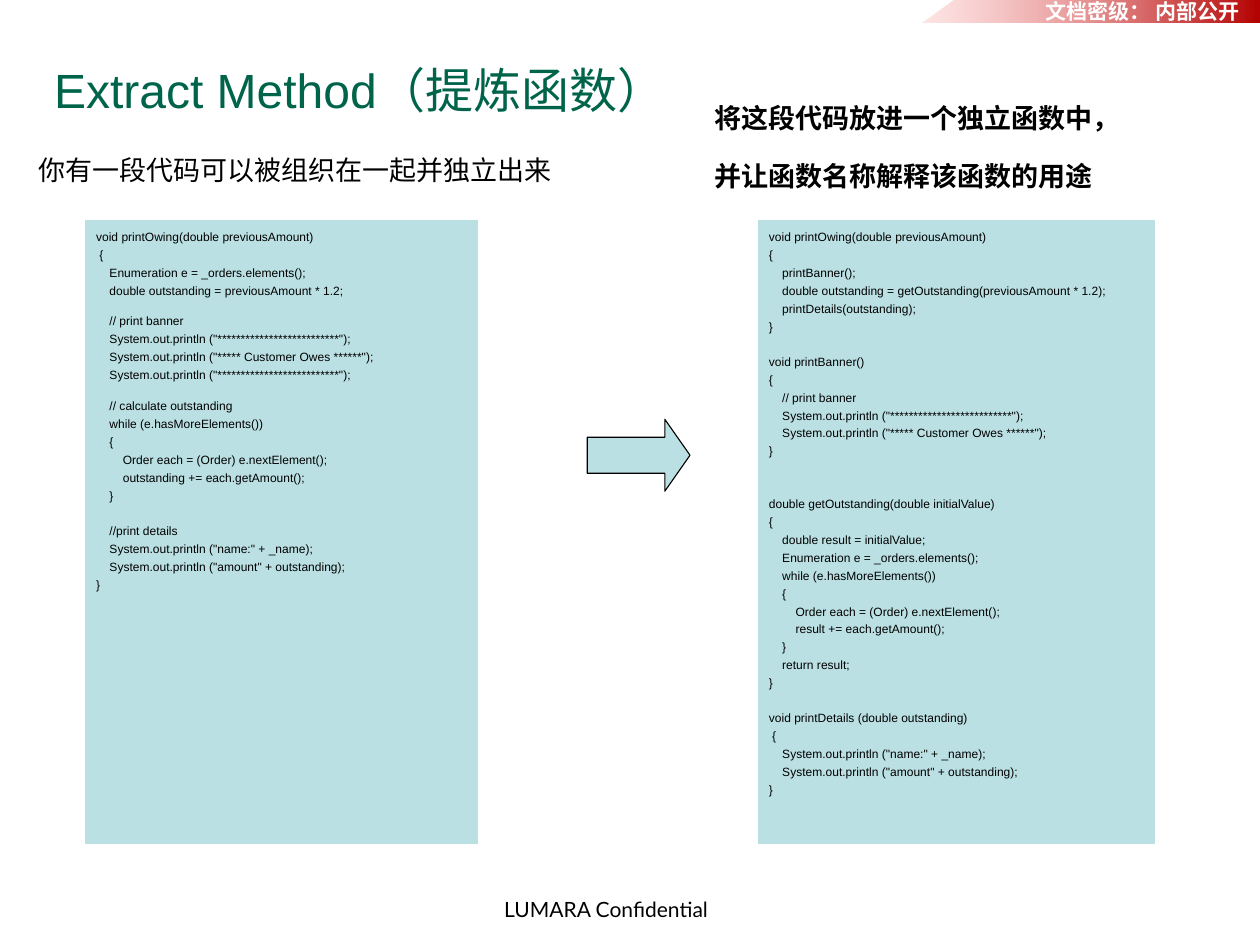
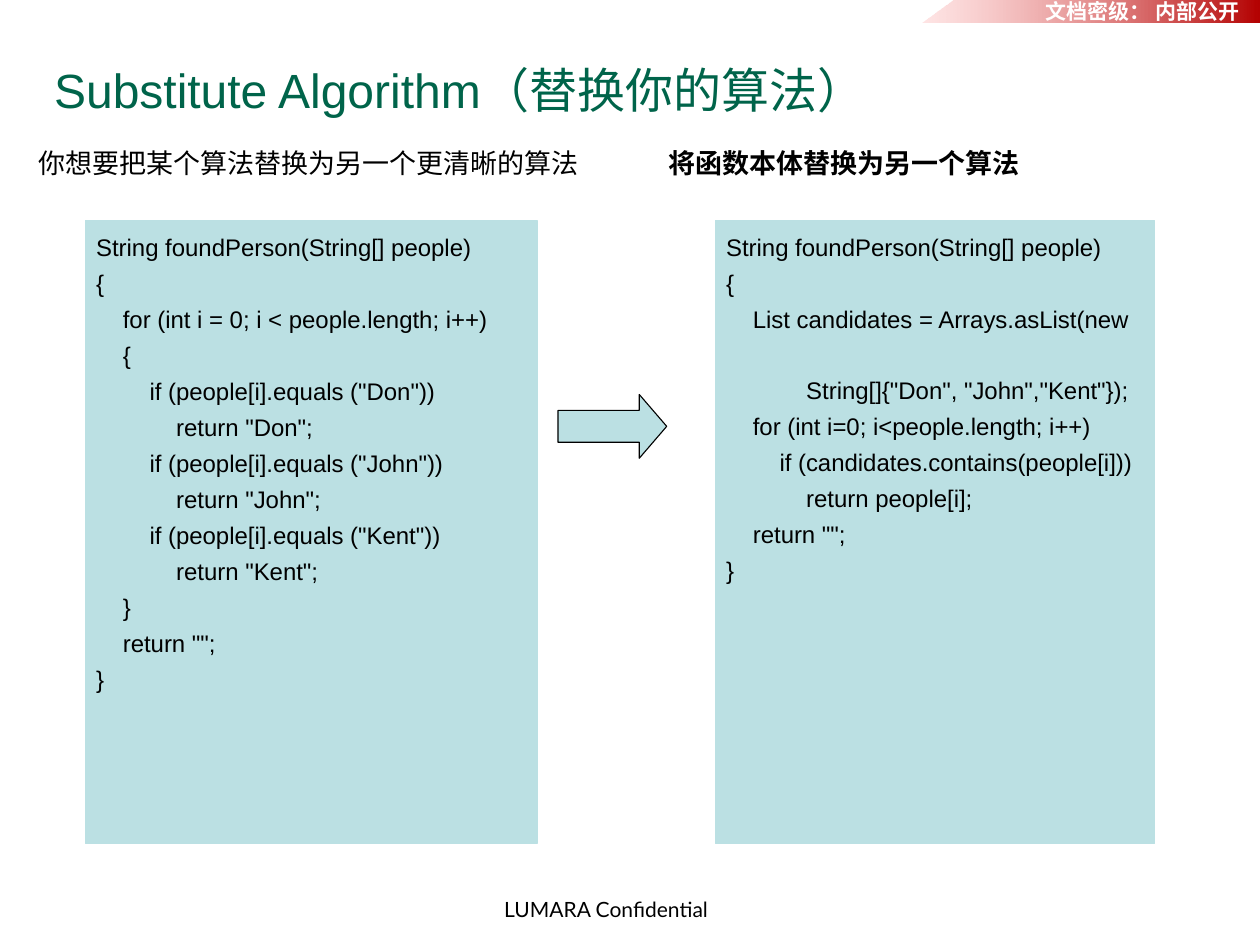
from lxml.etree import SubElement
from pptx import Presentation
from pptx.dml.color import RGBColor
from pptx.enum.shapes import MSO_SHAPE
from pptx.enum.text import MSO_ANCHOR, PP_ALIGN
from pptx.oxml.ns import qn
from pptx.util import Pt

BLACK = RGBColor(0x00, 0x00, 0x00)
WHITE = RGBColor(0xFF, 0xFF, 0xFF)
GREEN = RGBColor(0x00, 0x64, 0x4A)
AQUA = RGBColor(0xBB, 0xE0, 0xE3)
RED = RGBColor(0xB4, 0x00, 0x00)
PINK = RGBColor(0xFF, 0xBF, 0xBF)

SLIDE_WIDTH, SLIDE_HEIGHT = 840, 630
PANEL_TOP, PANEL_HEIGHT = 147, 415.5
PANEL_LEFT, PANEL_RIGHT = 57, 769.5
LINE_SPACING = 1.25
SPACE_EM = 0.278  # width of a space in Arial
LINE_EM = 1.149 * LINE_SPACING  # height of a spaced line in Arial

LONG_METHOD = """\
void printOwing(double previousAmount)
 {
    Enumeration e = _orders.elements();
    double outstanding = previousAmount * 1.2;

    // print banner
    System.out.println ("**************************");
    System.out.println ("***** Customer Owes ******");
    System.out.println ("**************************");

    // calculate outstanding
    while (e.hasMoreElements())
    {
        Order each = (Order) e.nextElement();
        outstanding += each.getAmount();
    }

    //print details
    System.out.println ("name:" + _name);
    System.out.println ("amount" + outstanding);
}"""

EXTRACTED_METHODS = """\
void printOwing(double previousAmount)
{
    printBanner();
    double outstanding = getOutstanding(previousAmount * 1.2);
    printDetails(outstanding);
}

void printBanner()
{
    // print banner
    System.out.println ("**************************");
    System.out.println ("***** Customer Owes ******");
}


double getOutstanding(double initialValue)
{
    double result = initialValue;
    Enumeration e = _orders.elements();
    while (e.hasMoreElements())
    {
        Order each = (Order) e.nextElement();
        result += each.getAmount();
    }
    return result;
}

void printDetails (double outstanding)
 {
    System.out.println ("name:" + _name);
    System.out.println ("amount" + outstanding);
}"""

REPEATED_TESTS = """\
String foundPerson(String[] people)
{
    for (int i = 0; i < people.length; i++)
    {
        if (people[i].equals ("Don"))
            return "Don";
        if (people[i].equals ("John"))
            return "John";
        if (people[i].equals ("Kent"))
            return "Kent";
    }
    return "";
}"""

CANDIDATE_LIST = """\
String foundPerson(String[] people)
{
    List candidates = Arrays.asList(new

            String[]{"Don", "John","Kent"});
    for (int i=0; i<people.length; i++)
        if (candidates.contains(people[i]))
            return people[i];
    return "";
}"""


def write_text(frame, text, *, size, color=BLACK, font="Arial", bold=False,
               spacing=None, before=0, anchor=MSO_ANCHOR.TOP, gaps=()):
    """Write one paragraph a line; leading spaces become indents and empty
    lines become space before, of the heights in gaps or of full lines."""
    frame.word_wrap = True
    frame.vertical_anchor = anchor
    gap_heights = iter(gaps)
    gap = 0
    for number, line in enumerate(text.split("\n")):
        if not line:
            gap += next(gap_heights, size * LINE_EM)
            continue
        paragraph = frame.add_paragraph() if number else frame.paragraphs[0]
        paragraph.alignment = PP_ALIGN.LEFT
        paragraph.line_spacing = spacing
        paragraph.space_before = Pt(gap + (before if number else 0))
        content = line.lstrip()
        indent = (len(line) - len(content)) * SPACE_EM * size
        if indent:
            paragraph._p.get_or_add_pPr().set("marL", str(Pt(indent)))
        run = paragraph.add_run()
        run.text = content
        run.font.size = Pt(size)
        run.font.name = font
        run.font.bold = bold
        run.font.color.rgb = color
        gap = 0


class Deck:
    def __init__(self):
        self.presentation = Presentation()
        self.presentation.slide_width = Pt(SLIDE_WIDTH)
        self.presentation.slide_height = Pt(SLIDE_HEIGHT)
        self.slide = None

    def new_slide(self, title):
        layout = self.presentation.slide_layouts[6]
        self.slide = self.presentation.slides.add_slide(layout)
        self.label(329, 594, 163.5, 24, "LUMARA Confidential", size=14, font="Lato")
        self.secrecy_band()
        self.label(690, -4.5, 150, 24.5, "文档密级： 内部公开",
                   size=14, color=WHITE, bold=True)
        self.label(29, 25, 741, 68.5, title, size=32, color=GREEN,
                   anchor=MSO_ANCHOR.MIDDLE)

    def label(self, left, top, width, height, text, **style):
        box = self.slide.shapes.add_textbox(Pt(left), Pt(top), Pt(width), Pt(height))
        write_text(box.text_frame, text, **style)

    def caption(self, left, top, width, height, text, bold=False):
        self.label(left, top, width, height, text, size=18, bold=bold,
                   spacing=LINE_SPACING, before=11.2)

    def secrecy_band(self):
        outline = self.slide.shapes.build_freeform(SLIDE_WIDTH, 0, scale=Pt(1))
        outline.add_line_segments([(636, 0), (614, 15), (SLIDE_WIDTH, 15)])
        band = outline.convert_to_shape()
        band.shadow.inherit = False
        band.line.fill.background()
        band.fill.gradient()
        band.fill.gradient_angle = 180
        for stop, position, color in zip(band.fill.gradient_stops, (0, 1), (RED, PINK)):
            stop.position = position
            stop.color.rgb = color
        pink = band._element.spPr.findall(".//" + qn("a:srgbClr"))[-1]
        SubElement(pink, qn("a:alpha"), val="40000")

    def aqua_shape(self, kind, left, top, width, height, line_color):
        shape = self.slide.shapes.add_shape(kind, Pt(left), Pt(top), Pt(width), Pt(height))
        shape.shadow.inherit = False
        shape.fill.solid()
        shape.fill.fore_color.rgb = AQUA
        shape.line.color.rgb = line_color
        shape.line.width = Pt(0.75)
        return shape

    def code_panel(self, left, right, code, size, gaps=()):
        panel = self.aqua_shape(MSO_SHAPE.RECTANGLE, left, PANEL_TOP,
                                right - left, PANEL_HEIGHT, AQUA)
        write_text(panel.text_frame, code, size=size, spacing=LINE_SPACING, gaps=gaps)

    def arrow(self, left, top, width, height, head):
        arrow = self.aqua_shape(MSO_SHAPE.RIGHT_ARROW, left, top, width, height, BLACK)
        arrow.adjustments[0] = 0.5
        arrow.adjustments[1] = head


def main():
    deck = Deck()

    deck.new_slide("Extract Method（提炼函数）")
    deck.code_panel(PANEL_LEFT, 318.5, LONG_METHOD, 8, gaps=(8.6, 8.6))
    deck.code_panel(505.5, PANEL_RIGHT, EXTRACTED_METHODS, 8)
    deck.caption(469.5, 59, 338.5, 70.5,
                 "将这段代码放进一个独立函数中，\n并让函数名称解释该函数的用途", bold=True)
    deck.arrow(391.5, 279.5, 68.5, 48, 0.35)
    deck.caption(18.5, 93.5, 410.5, 33, "你有一段代码可以被组织在一起并独立出来")

    deck.new_slide("Substitute Algorithm（替换你的算法）")
    deck.code_panel(PANEL_LEFT, 358, REPEATED_TESTS, 16)
    deck.code_panel(477, PANEL_RIGHT, CANDIDATE_LIST, 16)
    deck.caption(18.5, 89, 428.5, 33, "你想要把某个算法替换为另一个更清晰的算法")
    deck.arrow(372, 263, 72.5, 42.5, 0.43)
    deck.caption(438.5, 88.5, 302.5, 33, "将函数本体替换为另一个算法", bold=True)

    deck.presentation.save("out.pptx")


if __name__ == "__main__":
    main()
